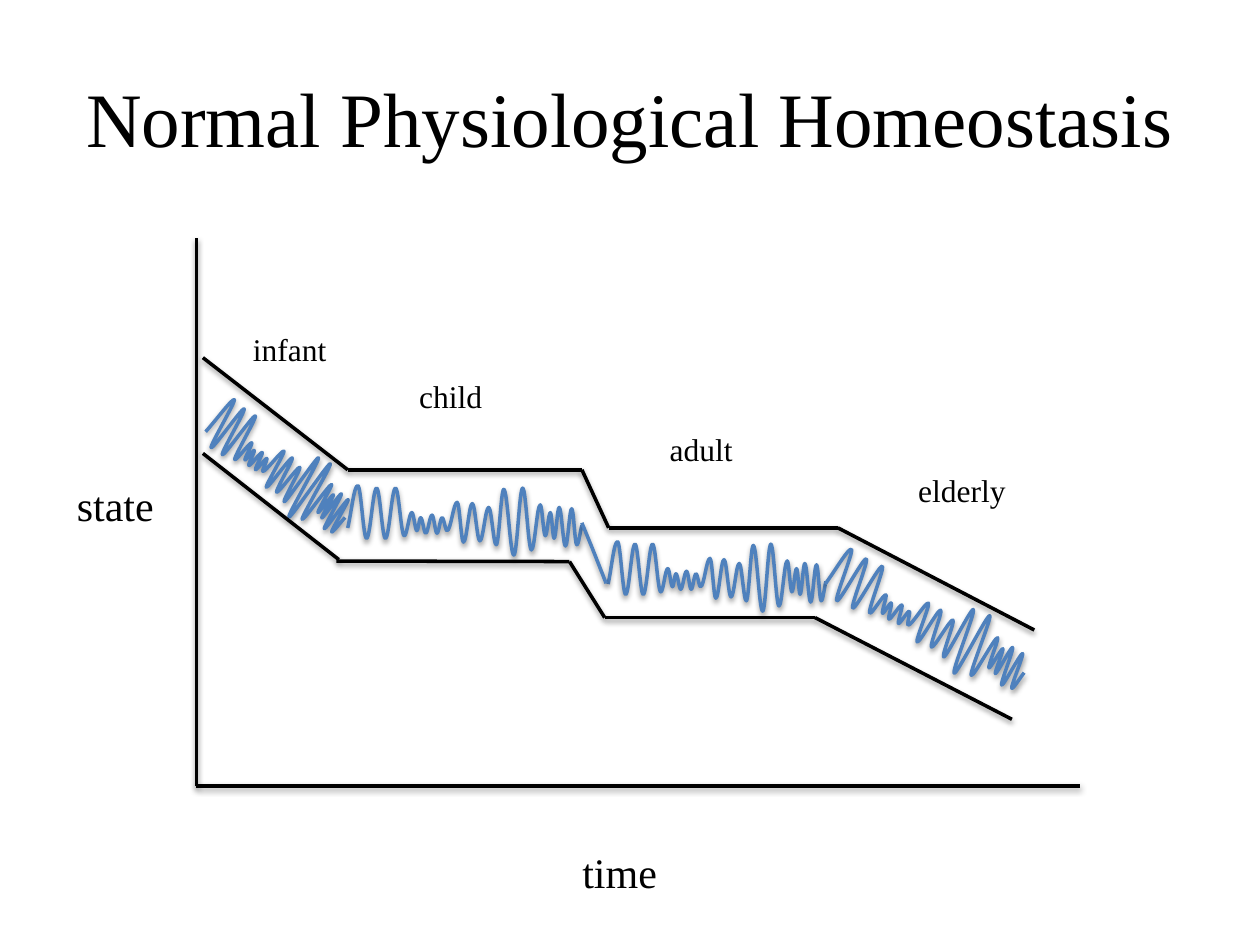
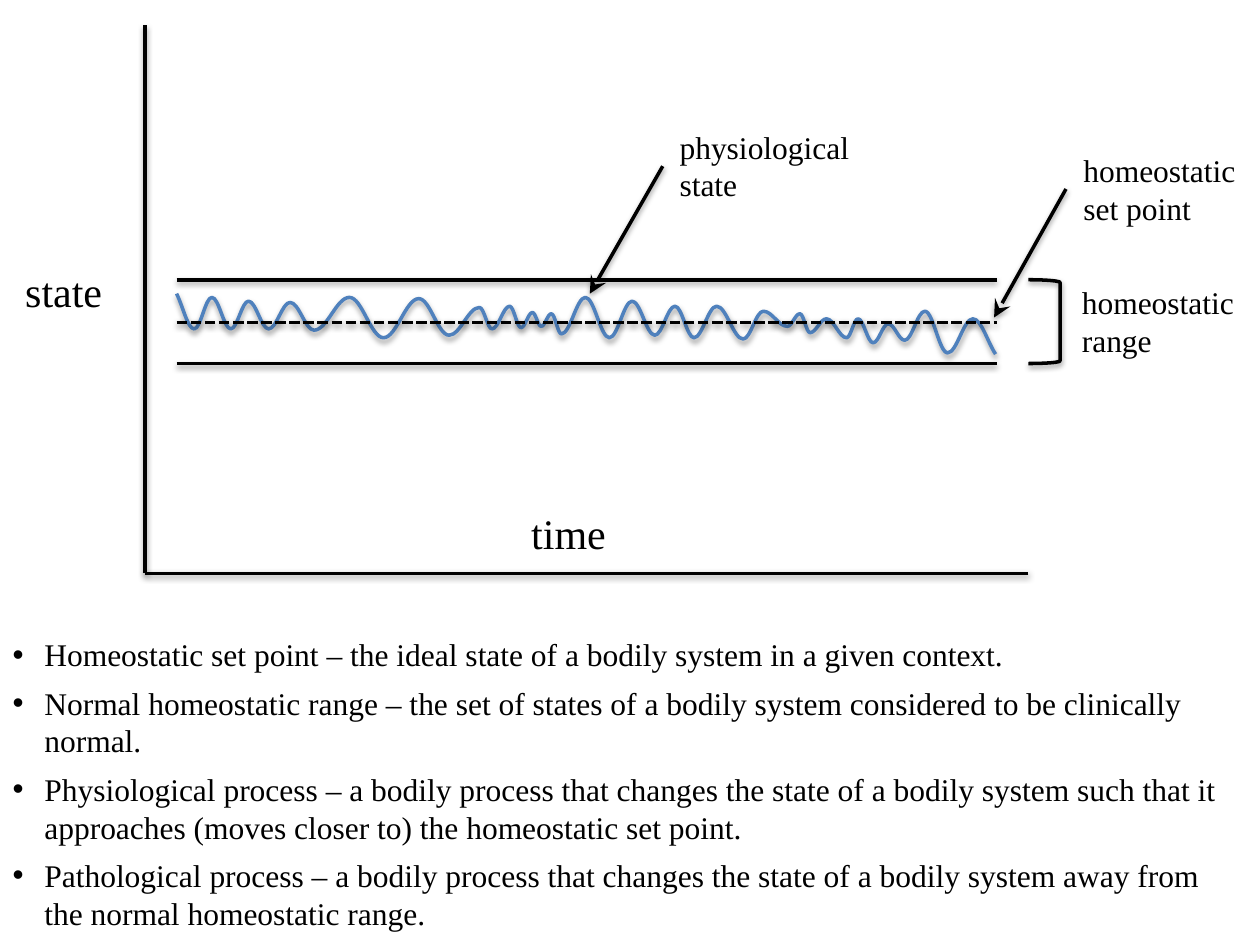
"""Build two slides on physiological homeostasis over time."""
from itertools import pairwise

from lxml.etree import SubElement
from pptx import Presentation
from pptx.dml.color import RGBColor
from pptx.enum.dml import MSO_LINE
from pptx.enum.shapes import MSO_CONNECTOR, MSO_SHAPE
from pptx.enum.text import MSO_ANCHOR, MSO_AUTO_SIZE, PP_ALIGN
from pptx.oxml import parse_xml
from pptx.oxml.ns import nsdecls, qn
from pptx.util import Cm, Pt

BLACK, BLUE = "000000", "4F81BD"
FONT = "Times New Roman"
TITLE_SIZE, AXIS_SIZE, TEXT_SIZE = 44, 24, 18
AXIS_WIDTH, AXIS_HEIGHT = 17.81, 11.05
BEND = 0.37

LIFE_WAVE = [
    (0, 35), (8, 2), (15, 43), (23, 4), (30, 43), (38, 4), (45, 41), (51, 23),
    (55, 37), (58, 27), (62, 39), (67, 25), (71, 39), (75, 27), (79, 37),
    (87, 15), (92, 46), (99, 16), (105, 45), (112, 19), (118, 48), (124, 5),
    (132, 56), (139, 4), (146, 52), (153, 17), (157, 41), (161, 23), (164, 43),
    (168, 19), (173, 49), (178, 20), (182, 48), (186, 33)]
STATE_WAVE = [
    (0, 0), (14, 28), (28, 3), (43, 28), (57, 6), (73, 28), (90, 7), (109, 29),
    (137, 3), (164, 35), (192, 4), (216, 33), (240, 11), (250, 28), (264, 10),
    (273, 27), (282, 15), (289, 26), (297, 16), (305, 32), (324, 3), (343, 35),
    (361, 6), (379, 33), (395, 10), (410, 35), (428, 10), (449, 36), (465, 14),
    (484, 26), (494, 16), (502, 31), (515, 20), (531, 35), (540, 20), (552, 39),
    (564, 24), (577, 37), (593, 14), (611, 47), (631, 20), (649, 48)]

LIFE_STAGES = [
    ("infant", (4.85, 6.53, 2.06, 1.02), (3.97, 8.76, 3.3, 1.4), 32.5),
    ("child", (8.2, 7.47, 1.8, 1.02), (7.01, 9.79, 4.72, 1.4), 0),
    ("adult", (13.25, 8.54, 1.85, 1.02), (12.26, 10.92, 4.39, 1.4), 0),
    ("elderly", (18.26, 9.37, 2.34, 1.02), (16.5, 11.85, 4.39, 1.4), 24.7)]
UPPER_LIMIT = [(4.09, 7.21), (7.01, 9.47), (11.73, 9.47),
               (12.27, 10.64), (16.89, 10.64), (20.85, 12.7)]
INFANT_LOWER_LIMIT = [(4.09, 9.14), (6.83, 11.28)]
LATER_LOWER_LIMIT = [(6.78, 11.31), (11.48, 11.32), (12.19, 12.45),
                     (16.43, 12.45), (20.4, 14.5)]
CHILD_TO_ADULT = [(11.73, 10.54), (11.94, 11.05), (12.22, 11.76)]

RANGE_LEFT, RANGE_RIGHT = 3.56, 20.09
RANGE_TOP, SET_POINT, RANGE_BOTTOM = 5.64, 6.5, 7.33
CALLOUTS = [
    (["homeostatic", "range"], (21.56, 5.59, 3.61, 1.8)),
    (["homeostatic", "set point"], (21.59, 2.92, 3.61, 1.8)),
    (["physiological", "state"], (13.45, 2.45, 3.96, 1.8))]
POINTERS = [((20.04, 6.4), (21.49, 3.81)), ((11.89, 5.92), (13.36, 3.35))]
DEFINITIONS = [
    "Homeostatic set point – the ideal state of a bodily system in a given context.",
    "Normal homeostatic range – the set of states of a bodily system considered "
    "to be clinically normal.",
    "Physiological process – a bodily process that changes the state of a bodily "
    "system such that it approaches (moves closer to) the homeostatic set point.",
    "Pathological process – a bodily process that changes the state of a bodily "
    "system away from the normal homeostatic range."]


def color(hex_string):
    return RGBColor.from_string(hex_string)


def apply_format(target, values):
    for name, value in values.items():
        setattr(target, name, value)


def cm_box(box):
    return [Cm(length) for length in box]


def place(shape, box):
    apply_format(shape, dict(zip(("left", "top", "width", "height"), cm_box(box))))


def write(frame, lines, size, **paragraph_format):
    for index, line in enumerate(lines):
        paragraph = frame.add_paragraph() if index else frame.paragraphs[0]
        apply_format(paragraph, paragraph_format)
        run = paragraph.add_run()
        run.text = line
        apply_format(run.font, {"name": FONT, "size": Pt(size)})
        run.font.color.rgb = color(BLACK)


def style_line(shape, line_color=BLACK, dash=None, arrow=False):
    shape.line.color.rgb = color(line_color)
    shape.line.width = Pt(2)
    if dash:
        shape.line.dash_style = dash
    properties = shape.element.spPr
    if arrow:
        SubElement(properties.find(qn("a:ln")), qn("a:headEnd"),
                   type="stealth", w="lg", len="lg")
    properties.append(parse_xml(
        f'<a:effectLst {nsdecls("a")}><a:outerShdw blurRad="40000" dist="20000" '
        f'dir="5400000" rotWithShape="0"><a:srgbClr val="{BLACK}">'
        '<a:alpha val="38000"/></a:srgbClr></a:outerShdw></a:effectLst>'))


def add_line(shapes, start, end, **line_format):
    line = shapes.add_connector(MSO_CONNECTOR.STRAIGHT, *cm_box(start + end))
    style_line(line, **line_format)


def add_label(slide, lines, box, size=TEXT_SIZE):
    label = slide.shapes.add_textbox(*cm_box(box))
    apply_format(label.text_frame, {"word_wrap": False,
                                    "auto_size": MSO_AUTO_SIZE.SHAPE_TO_FIT_TEXT})
    write(label.text_frame, lines, size)


def add_axes(slide, left, top, time_box, state_box):
    axes = slide.shapes.add_group_shape().shapes
    origin = (left, top + AXIS_HEIGHT)
    add_line(axes, (left, top), origin)
    add_line(axes, (left + AXIS_WIDTH, origin[1]), origin)
    add_label(slide, ["time"], time_box, AXIS_SIZE)
    add_label(slide, ["state"], state_box, AXIS_SIZE)


def add_curve(slide, points, rotation=0):
    start, *rest = [cm_box(point) for point in points]
    builder = slide.shapes.build_freeform(*start)
    builder.add_line_segments(rest, close=False)
    curve = builder.convert_to_shape()
    curve.fill.background()
    curve.rotation = rotation
    style_line(curve, BLUE)
    return curve


def round_turns(curve):
    corners = [(int(point.get("x")), int(point.get("y")))
               for point in curve.element.iter(qn("a:pt"))]
    segments = list(curve.element.iter(qn("a:lnTo")))
    last = len(segments) - 1
    for index, segment in enumerate(segments):
        (x1, y1), (x2, y2) = corners[index:index + 2]
        run, rise = BEND * (x2 - x1), BEND * (y2 - y1)
        leave = (x1 + run, y1 + (rise if index == 0 else 0))
        arrive = (x2 - run, y2 - (rise if index == last else 0))
        bend = SubElement(segment.getparent(), qn("a:cubicBezTo"))
        for x, y in (leave, arrive, (x2, y2)):
            SubElement(bend, qn("a:pt"), x=str(round(x)), y=str(round(y)))
        segment.getparent().replace(segment, bend)


def add_wave(slide, turns, box, rotation=0):
    left, top, width, height = box
    span = turns[-1][0]
    low, high = min(y for _, y in turns), max(y for _, y in turns)
    wave = add_curve(slide, [(left + width * x / span,
                              top + height * (y - low) / (high - low))
                             for x, y in turns], rotation)
    round_turns(wave)


def add_title(slide, text):
    title = slide.shapes.title
    place(title, (1.27, 0.76, 22.86, 3.18))
    title.text_frame.vertical_anchor = MSO_ANCHOR.MIDDLE
    write(title.text_frame, [text], TITLE_SIZE, alignment=PP_ALIGN.CENTER)


def add_definitions(slide):
    body = slide.placeholders[1]
    place(body, (0, 12.68, 25.32, 7.26))
    apply_format(body.text_frame, {"auto_size": MSO_AUTO_SIZE.NONE, "word_wrap": True})
    write(body.text_frame, DEFINITIONS, TEXT_SIZE, space_before=Pt(0), space_after=Pt(6))
    for paragraph in body.text_frame.paragraphs:
        indent = paragraph._p.get_or_add_pPr()
        indent.set("marL", str(Cm(0.64)))
        indent.set("indent", str(-Cm(0.64)))


def build_life_stages(deck):
    slide = deck.slides.add_slide(deck.slide_layouts[5])
    add_title(slide, "Normal Physiological Homeostasis")
    add_axes(slide, 3.96, 4.8, (11.49, 16.94, 2.03, 1.27), (1.3, 9.55, 2.08, 1.27))
    for _, _, wave_box, rotation in LIFE_STAGES:
        add_wave(slide, LIFE_WAVE, wave_box, rotation)
    for limit in (UPPER_LIMIT, INFANT_LOWER_LIMIT, LATER_LOWER_LIMIT):
        for start, end in pairwise(limit):
            add_line(slide.shapes, start, end)
    for stage, label_box, _, _ in LIFE_STAGES:
        add_label(slide, [stage], label_box)
    add_curve(slide, CHILD_TO_ADULT)


def build_set_point(deck):
    slide = deck.slides.add_slide(deck.slide_layouts[1])
    empty_title = slide.shapes.title.element
    empty_title.getparent().remove(empty_title)
    add_axes(slide, 2.92, 0.51, (10.46, 10.11, 2.03, 1.27), (0.26, 5.23, 2.08, 1.27))
    add_line(slide.shapes, (RANGE_LEFT, RANGE_TOP), (RANGE_RIGHT, RANGE_TOP))
    add_wave(slide, STATE_WAVE, (RANGE_LEFT, 5.92, 16.51, 1.22))
    for level, dash in ((SET_POINT, MSO_LINE.SQUARE_DOT), (RANGE_BOTTOM, None)):
        add_line(slide.shapes, (RANGE_LEFT, level), (RANGE_RIGHT, level), dash=dash)
    bracket = slide.shapes.add_shape(
        MSO_SHAPE.RIGHT_BRACKET,
        *cm_box((20.73, RANGE_TOP, 0.64, RANGE_BOTTOM - RANGE_TOP)))
    bracket.fill.background()
    style_line(bracket)
    for lines, box in CALLOUTS:
        add_label(slide, lines, box)
    for target, source in POINTERS:
        add_line(slide.shapes, target, source, arrow=True)
    add_definitions(slide)


def main():
    deck = Presentation()
    apply_format(deck, {"slide_width": Cm(25.4), "slide_height": Cm(19.05)})
    build_life_stages(deck)
    build_set_point(deck)
    deck.save("out.pptx")


if __name__ == "__main__":
    main()
